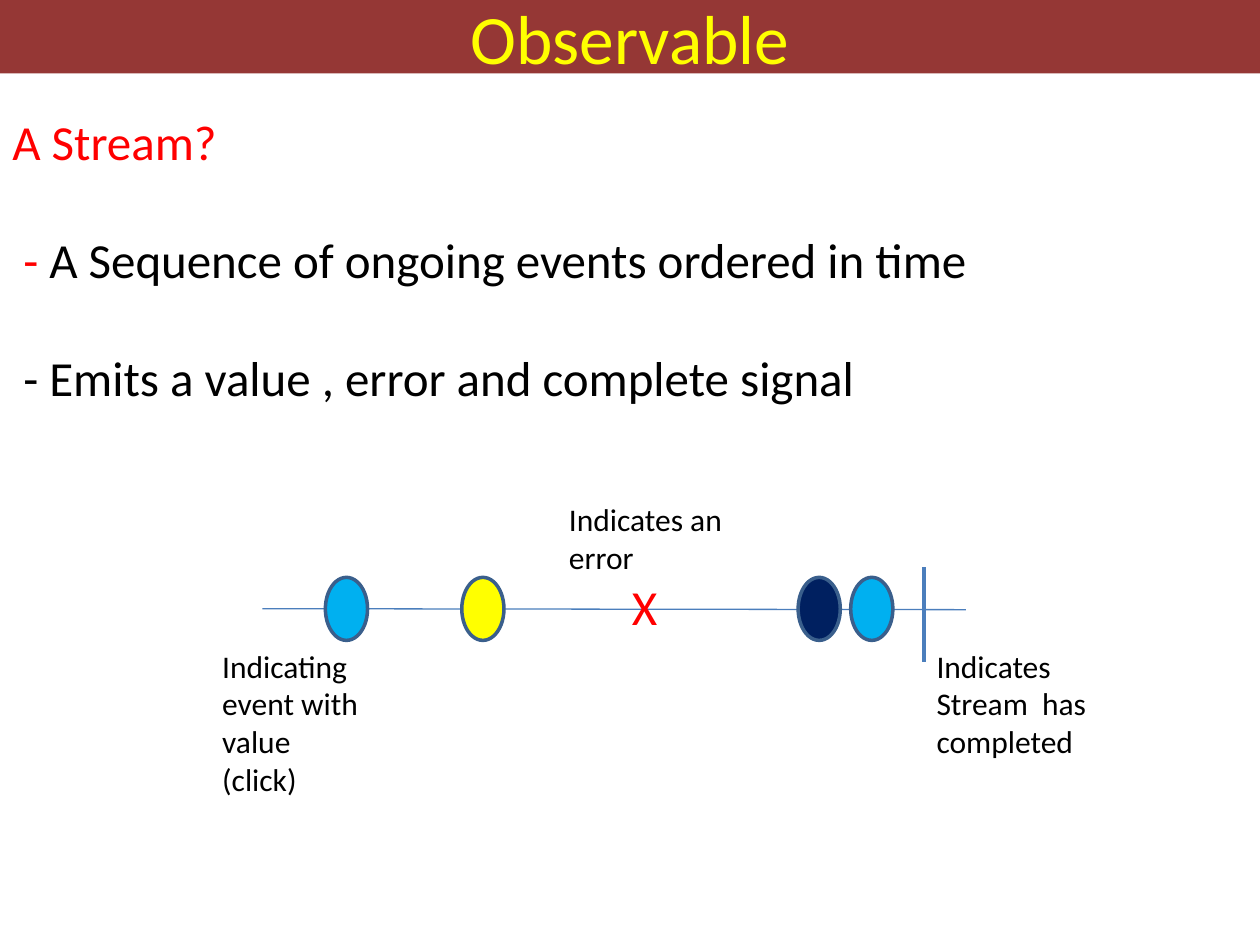
from dataclasses import dataclass

from lxml.etree import SubElement
from pptx import Presentation
from pptx.dml.color import RGBColor as RGB
from pptx.enum.shapes import MSO_CONNECTOR as Connector, MSO_SHAPE as Shape
from pptx.enum.text import MSO_ANCHOR as Anchor, PP_ALIGN as Align
from pptx.oxml.ns import qn
from pptx.util import Cm, Pt


@dataclass(frozen=True)
class Theme:
    font: str = "Calibri"
    banner: RGB = RGB(0x95, 0x37, 0x35)
    yellow: RGB = RGB(0xFF, 0xFF, 0x00)
    red: RGB = RGB(0xFF, 0x00, 0x00)
    black: RGB = RGB(0x00, 0x00, 0x00)
    sky: RGB = RGB(0x00, 0xB0, 0xF0)
    navy: RGB = RGB(0x00, 0x20, 0x60)
    line: RGB = RGB(0x4B, 0x7E, 0xBC)
    outline: RGB = RGB(0x3A, 0x5F, 0x8C)
    title_size: float = 39.6
    body_size: float = 28
    label_size: float = 18


theme = Theme()


def add_run(paragraph, text, size, color):
    run = paragraph.add_run()
    run.text = text
    run.font.name = theme.font
    run.font.size = Pt(size)
    run.font.color.rgb = color


def add_text(slide, box, paragraphs, size, wrap=True):
    """Add a text box; each paragraph is a list of (text, color) runs."""
    frame = slide.shapes.add_textbox(*map(Cm, box)).text_frame
    frame.word_wrap = wrap
    for index, runs in enumerate(paragraphs):
        paragraph = frame.add_paragraph() if index else frame.paragraphs[0]
        for text, color in runs:
            add_run(paragraph, text, size, color)
    return frame


presentation = Presentation()
presentation.slide_width, presentation.slide_height = Cm(25.4), Cm(19.05)
slide = presentation.slides.add_slide(presentation.slide_layouts[6])

# Title banner
banner = slide.shapes.add_shape(Shape.RECTANGLE, 0, 0, Cm(25.4), Cm(1.48))
banner.shadow.inherit = False
banner.fill.solid()
banner.fill.fore_color.rgb = theme.banner
banner.line.fill.background()
banner.text_frame.vertical_anchor = Anchor.MIDDLE
title = banner.text_frame.paragraphs[0]
title.alignment = Align.CENTER
add_run(title, "Observable", theme.title_size, theme.yellow)

# Question and its two answers
body = add_text(slide, (0, 2.12, 24.34, 12.21), [
    [("A Stream?", theme.red)],
    [("- ", theme.red), ("A Sequence of ongoing events ordered in time", theme.black)],
    [("- Emits a value , error and complete signal", theme.black)],
], theme.body_size)
for answer in body.paragraphs[1:]:
    answer.space_before = Pt(34)
    answer._p.get_or_add_pPr().set("marL", str(Cm(0.22)))

# Time line and the bar that ends it
for start_x, start_y, end_x, end_y, width in [
    (5.29, 12.27, 19.47, 12.29, 0.75),
    (18.63, 11.43, 18.63, 13.34, 2.25),
]:
    line = slide.shapes.add_connector(
        Connector.STRAIGHT, Cm(start_x), Cm(start_y), Cm(end_x), Cm(end_y))
    line.line.color.rgb = theme.line
    line.line.width = Pt(width)
    SubElement(line._element.spPr, qn("a:effectLst"))

# Events on the time line
for left, color in [(6.56, theme.sky), (9.31, theme.yellow),
                    (16.09, theme.navy), (17.15, theme.sky)]:
    event = slide.shapes.add_shape(Shape.OVAL, Cm(left), Cm(11.64), Cm(0.85), Cm(1.27))
    event.shadow.inherit = False
    event.fill.solid()
    event.fill.fore_color.rgb = color
    event.line.color.rgb = theme.outline
    event.line.width = Pt(2)

# Error mark
add_text(slide, (12.49, 11.5, 1.04, 1.45), [[("X", theme.red)]],
         theme.body_size, wrap=False)

# Labels
for left, top, height, lines in [
    (4.23, 12.91, 3.33, ["Indicating event with value", "(click)"]),
    (11.22, 9.95, 1.8, ["Indicates an error"]),
    (18.63, 12.91, 2.57, ["Indicates", "Stream  has", "completed"]),
]:
    add_text(slide, (left, top, 4.45, height),
             [[(text, theme.black)] for text in lines], theme.label_size)

presentation.save("out.pptx")
